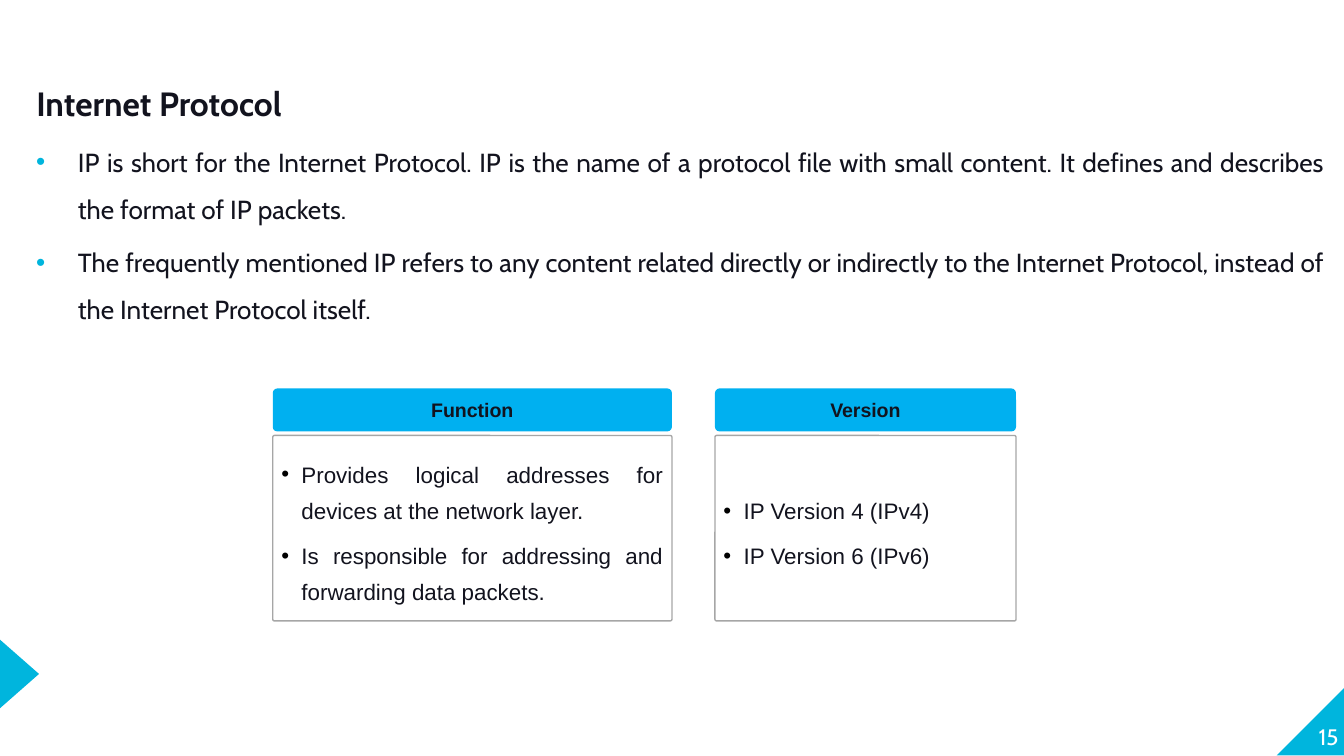
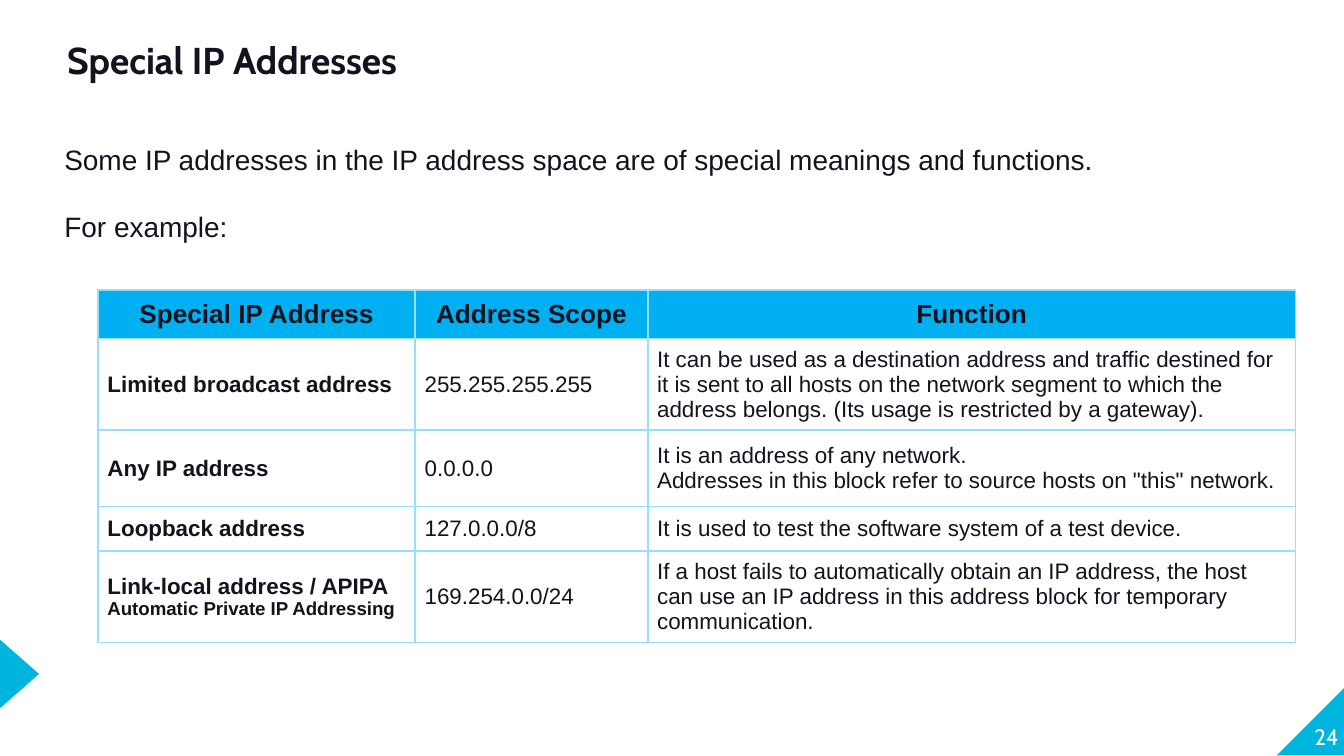
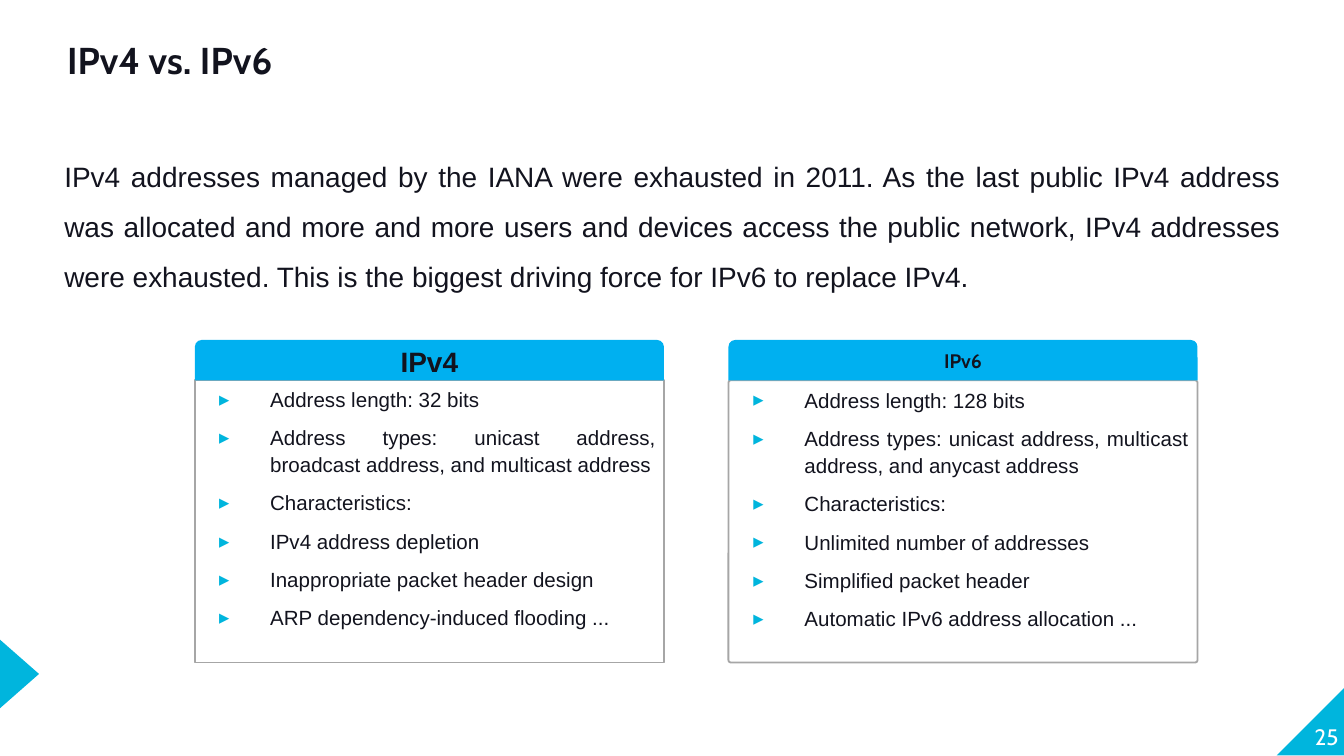
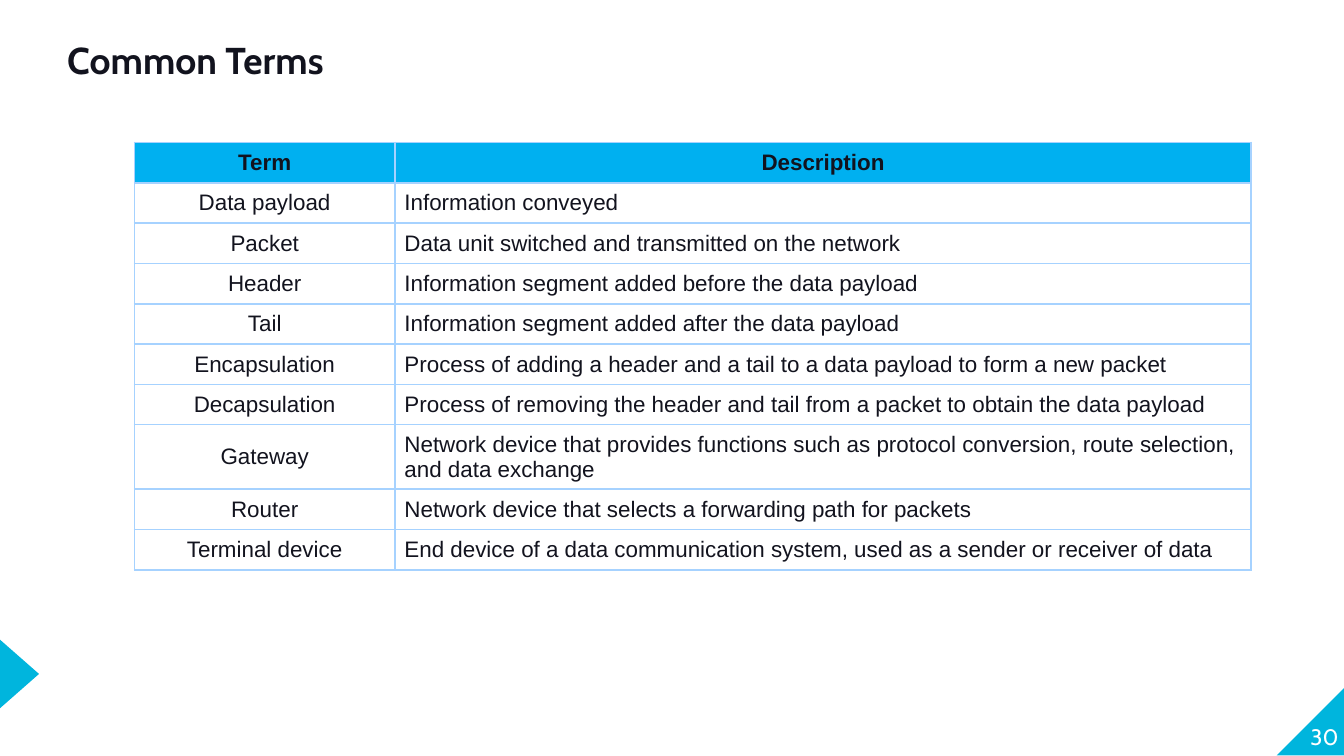
from dataclasses import dataclass

from pptx import Presentation
from pptx.dml.color import RGBColor
from pptx.enum import shapes, text
from pptx.oxml.xmlchemy import OxmlElement
from pptx.util import Inches, Pt

INK = RGBColor(0x12, 0x13, 0x1E)
BLACK = RGBColor(0, 0, 0)
WHITE = RGBColor(0xFF, 0xFF, 0xFF)
TEAL = RGBColor(0x00, 0xB5, 0xDD)
HEADER = RGBColor(0x00, 0xB0, 0xF0)
GREY = RGBColor(0xA6, 0xA6, 0xA6)
GRID_CYAN = RGBColor(0x99, 0xDF, 0xF9)
GRID_BLUE = RGBColor(0xA6, 0xD2, 0xFF)

HEADING, BODY = "Cabin", "Arial"
LEFT, CENTER, RIGHT, JUSTIFY = (
    text.PP_ALIGN.LEFT, text.PP_ALIGN.CENTER, text.PP_ALIGN.RIGHT, text.PP_ALIGN.JUSTIFY)
TOP, MIDDLE, BOTTOM = (
    text.MSO_ANCHOR.TOP, text.MSO_ANCHOR.MIDDLE, text.MSO_ANCHOR.BOTTOM)
SHAPE = shapes.MSO_SHAPE


@dataclass
class Bullet:
    char: str
    color: RGBColor
    left: float
    hang: float


@dataclass
class Style:
    size: float
    font: str = BODY
    color: RGBColor = INK
    bold: bool = False
    align: int = LEFT
    line: object = None
    before: float = 0
    after: float = 0
    bullet: Bullet = None


DOT = Bullet("•", TEAL, 0.45, 0.31)
SMALL_DOT = Bullet("•", BLACK, 0.15, 0.15)
ARROW = Bullet("▸", TEAL, 0.5, 0.38)

TITLE = Style(20, HEADING, bold=True, line=1.1)
TOPIC = Style(18, HEADING, bold=True)
NUMBER = Style(12, HEADING, WHITE, align=RIGHT)
INTRO_BULLETS = Style(14, HEADING, align=JUSTIFY, line=1.5, before=3.6, bullet=DOT)
CARD_HEADER = Style(10.5, bold=True, align=CENTER)
CARD_BODY = Style(12, align=JUSTIFY, line=Pt(19.5), after=4.5, bullet=SMALL_DOT)
COMPARE_BODY = Style(11, align=JUSTIFY, line=1.1, before=6, bullet=ARROW)
CELL = Style(12)
CELL_BOLD = Style(12, bold=True)
CELL_CENTER = Style(12, align=CENTER)
CELL_HEADER = Style(12, bold=True, align=CENTER)


def box(left, top, width, height):
    return Inches(left), Inches(top), Inches(width), Inches(height)


def color_element(tag, color):
    el = OxmlElement(tag)
    clr = OxmlElement("a:srgbClr")
    clr.set("val", str(color))
    el.append(clr)
    return el


def add_bullet(p, bullet):
    pPr = p._p.get_or_add_pPr()
    pPr.set("marL", str(Inches(bullet.left)))
    pPr.set("indent", str(-Inches(bullet.hang)))
    pPr.append(color_element("a:buClr", bullet.color))
    for tag, key, value in (("a:buFont", "typeface", BODY), ("a:buChar", "char", bullet.char)):
        el = OxmlElement(tag)
        el.set(key, value)
        pPr.append(el)


def set_borders(cell, color):
    tcPr = cell._tc.get_or_add_tcPr()
    for i, side in enumerate(("a:lnL", "a:lnR", "a:lnT", "a:lnB")):
        ln = OxmlElement(side)
        ln.set("w", str(Pt(1)))
        ln.append(color_element("a:solidFill", color))
        tcPr.insert(i, ln)


def write(tf, lines, style, anchor=TOP, insets=None):
    """Fill a text frame with one paragraph per line, all in one style."""
    tf.word_wrap = True
    tf.vertical_anchor = anchor
    if insets:
        h, v = map(Inches, insets)
        tf.margin_left = tf.margin_right = h
        tf.margin_top = tf.margin_bottom = v
    tf.text = "\n".join(lines)
    for i, p in enumerate(tf.paragraphs):
        p.alignment = style.align
        p.line_spacing = style.line
        p.space_before = Pt(style.before if i else 0)
        p.space_after = Pt(style.after)
        if style.bullet:
            add_bullet(p, style.bullet)
        for r in p.runs:
            f = r.font
            f.size, f.name, f.bold = Pt(style.size), style.font, style.bold
            f.color.rgb = style.color


class Deck:
    def __init__(self):
        self.prs = Presentation()
        self.prs.slide_width = Inches(10)
        self.prs.slide_height = Inches(10) * 9 // 16
        self.layout = self.prs.slide_layouts[5]
        self.s = None

    def slide(self, number, title, place=(0.5, 0.24, 9, 0.57), style=TITLE):
        first = self.s is None
        self.s = self.prs.slides.add_slide(self.layout)
        if first:
            self.corner_marks()
        sp = self.s.shapes.title
        sp.left, sp.top, sp.width, sp.height = box(*place)
        sp.text_frame.auto_size = text.MSO_AUTO_SIZE.NONE
        write(sp.text_frame, [title], style, insets=(0, 0))
        self.text((9.46, 5.07, 0.5, 0.51), [str(number)], NUMBER, BOTTOM, (0, 0))

    def corner_marks(self):
        """Draw the two triangles and move them to the shared layout."""
        corner = self.shape(SHAPE.RIGHT_TRIANGLE, (9.5, 5.11, 0.51, 0.51), TEAL)
        corner.element.spPr.xfrm.set("flipH", "1")
        pointer = self.shape(SHAPE.ISOSCELES_TRIANGLE, (-0.11, 4.87, 0.51, 0.29), TEAL)
        pointer.rotation = 90
        for i, sp in enumerate((corner, pointer)):
            sp.element.nvSpPr.cNvPr.set("id", str(20 + i))
            self.layout.shapes.element.append(sp.element)

    def text(self, place, lines, style, anchor=TOP, insets=None):
        sp = self.s.shapes.add_textbox(*box(*place))
        write(sp.text_frame, lines, style, anchor, insets)

    def shape(self, kind, place, fill=None, line=None, weight=1, radius=None):
        sp = self.s.shapes.add_shape(kind, *box(*place))
        sp.shadow.inherit = False
        if fill:
            sp.fill.solid()
            sp.fill.fore_color.rgb = fill
        else:
            sp.fill.background()
        if line:
            sp.line.color.rgb = line
            sp.line.width = Pt(weight)
        else:
            sp.line.fill.background()
        if radius is not None:
            sp.adjustments[0] = radius
        return sp

    def header(self, kind, place, label, style, radius=None):
        sp = self.shape(kind, place, HEADER, radius=radius)
        write(sp.text_frame, [label], style, MIDDLE)

    def panel(self, place, lines, style, anchor, weight, radius=0.009):
        sp = self.shape(SHAPE.ROUNDED_RECTANGLE, place, None, GREY, weight, radius)
        write(sp.text_frame, lines, style, anchor, (0.06, 0.03))
        return sp

    def table(self, place, widths, heights, rows, header, columns, grid):
        """Draw a table; header and columns are the styles of row 0 and of each column."""
        frame = self.s.shapes.add_table(len(rows), len(widths), *box(*place))
        table = frame.table
        table.horz_banding = table.first_row = False
        for col, width in zip(table.columns, widths):
            col.width = Inches(width)
        for i, (row, height) in enumerate(zip(rows, heights)):
            table.rows[i].height = Inches(height)
            for j, value in enumerate(row):
                cell = table.cell(i, j)
                cell.margin_left = cell.margin_right = Inches(0.07)
                cell.margin_top = cell.margin_bottom = Inches(0.04)
                write(cell.text_frame, value.split("\n"), columns[j] if i else header)
                cell.vertical_anchor = MIDDLE
                if i:
                    cell.fill.background()
                else:
                    cell.fill.solid()
                    cell.fill.fore_color.rgb = HEADER
                set_borders(cell, grid)
        frame.height = Inches(place[3])
        return table


def internet_protocol(deck):
    deck.slide(15, "Internet Protocol", (0.27, 0.62, 9.59, 0.32), TOPIC)
    deck.text((0.13, 0.97, 9.73, 1.6), [
        "IP is short for the Internet Protocol. IP is the name of a protocol file with small "
        "content. It defines and describes the format of IP packets.",
        "The frequently mentioned IP refers to any content related directly or indirectly to "
        "the Internet Protocol, instead of the Internet Protocol itself.",
    ], INTRO_BULLETS, insets=(0, 0))
    cards = (
        (2.03, 2.97, "Function", [
            "Provides logical addresses for devices at the network layer.",
            "Is responsible for addressing and forwarding data packets."]),
        (5.32, 2.24, "Version", ["IP Version 4 (IPv4)", "IP Version 6 (IPv6)"]),
    )
    for left, width, label, lines in cards:
        deck.header(SHAPE.ROUNDED_RECTANGLE, (left, 2.89, width, 0.32), label,
                    CARD_HEADER, 0.106)
        deck.panel((left, 3.24, width, 1.38), lines, CARD_BODY, MIDDLE, 0.75)


def special_addresses(deck):
    deck.slide(24, "Special IP Addresses")
    deck.text((0.38, 1.01, 9.25, 0.74), [
        "Some IP addresses in the IP address space are of special meanings and functions.",
        "For example:",
    ], Style(15, before=18))
    rows = (
        ("Special IP Address", "Address Scope", "Function"),
        ("Limited broadcast address", "255.255.255.255",
         "It can be used as a destination address and traffic destined for it is sent to all "
         "hosts on the network segment to which the address belongs. (Its usage is restricted "
         "by a gateway)."),
        ("Any IP address", "0.0.0.0",
         "It is an address of any network.\n"
         "Addresses in this block refer to source hosts on \"this\" network."),
        ("Loopback address", "127.0.0.0/8",
         "It is used to test the software system of a test device."),
        ("Link-local address / APIPA\nAutomatic Private IP Addressing", "169.254.0.0/24",
         "If a host fails to automatically obtain an IP address, the host can use an IP address "
         "in this address block for temporary communication."),
    )
    table = deck.table((0.73, 2.16, 8.91, 2.61), (2.36, 1.73, 4.82),
                       (0.36, 0.68, 0.57, 0.33, 0.57), rows,
                       Style(14, bold=True, align=CENTER), (CELL_BOLD, CELL, CELL), GRID_CYAN)
    expansion = table.cell(4, 0).text_frame.paragraphs[1]
    expansion.runs[0].font.size = Pt(10)


def version_comparison(deck):
    deck.slide(25, "IPv4 vs. IPv6")
    deck.text((0.38, 1.01, 9.25, 0.74), [
        "IPv4 addresses managed by the IANA were exhausted in 2011. As the last public IPv4 "
        "address was allocated and more and more users and devices access the public network, "
        "IPv4 addresses were exhausted. This is the biggest driving force for IPv6 to replace "
        "IPv4.",
    ], Style(15, align=JUSTIFY, line=1.5))
    versions = (
        (1.45, 0, "IPv4", Style(15, bold=True, align=CENTER), [
            "Address length: 32 bits",
            "Address types: unicast address, broadcast address, and multicast address",
            "Characteristics:",
            "IPv4 address depletion",
            "Inappropriate packet header design",
            "ARP dependency-induced flooding ..."]),
        (5.42, 0.009, "IPv6", Style(10.5, HEADING, bold=True, align=CENTER), [
            "Address length: 128 bits",
            "Address types: unicast address, multicast address, and anycast address",
            "Characteristics:",
            "Unlimited number of addresses",
            "Simplified packet header",
            "Automatic IPv6 address allocation ..."]),
    )
    for left, radius, label, style, lines in versions:
        sp = deck.panel((left, 2.83, 3.49, 2.1), lines, COMPARE_BODY, TOP, 1, radius)
        for p in sp.text_frame.paragraphs[3:]:
            p.level = 1
        deck.header(SHAPE.ROUND_2_SAME_RECTANGLE, (left, 2.53, 3.49, 0.3), label, style)


def common_terms(deck):
    deck.slide(30, "Common Terms")
    rows = (
        ("Term", "Description"),
        ("Data payload", "Information conveyed"),
        ("Packet", "Data unit switched and transmitted on the network"),
        ("Header", "Information segment added before the data payload"),
        ("Tail", "Information segment added after the data payload"),
        ("Encapsulation",
         "Process of adding a header and a tail to a data payload to form a new packet"),
        ("Decapsulation",
         "Process of removing the header and tail from a packet to obtain the data payload"),
        ("Gateway",
         "Network device that provides functions such as protocol conversion, route selection, "
         "and data exchange"),
        ("Router", "Network device that selects a forwarding path for packets"),
        ("Terminal device",
         "End device of a data communication system, used as a sender or receiver of data"),
    )
    deck.table((1, 1.06, 8.31, 3.21), (1.94, 6.37), [0.3] * len(rows), rows,
               CELL_HEADER, (CELL_CENTER, CELL), GRID_BLUE)


def main():
    deck = Deck()
    internet_protocol(deck)
    special_addresses(deck)
    version_comparison(deck)
    common_terms(deck)
    deck.prs.save("out.pptx")


if __name__ == "__main__":
    main()
